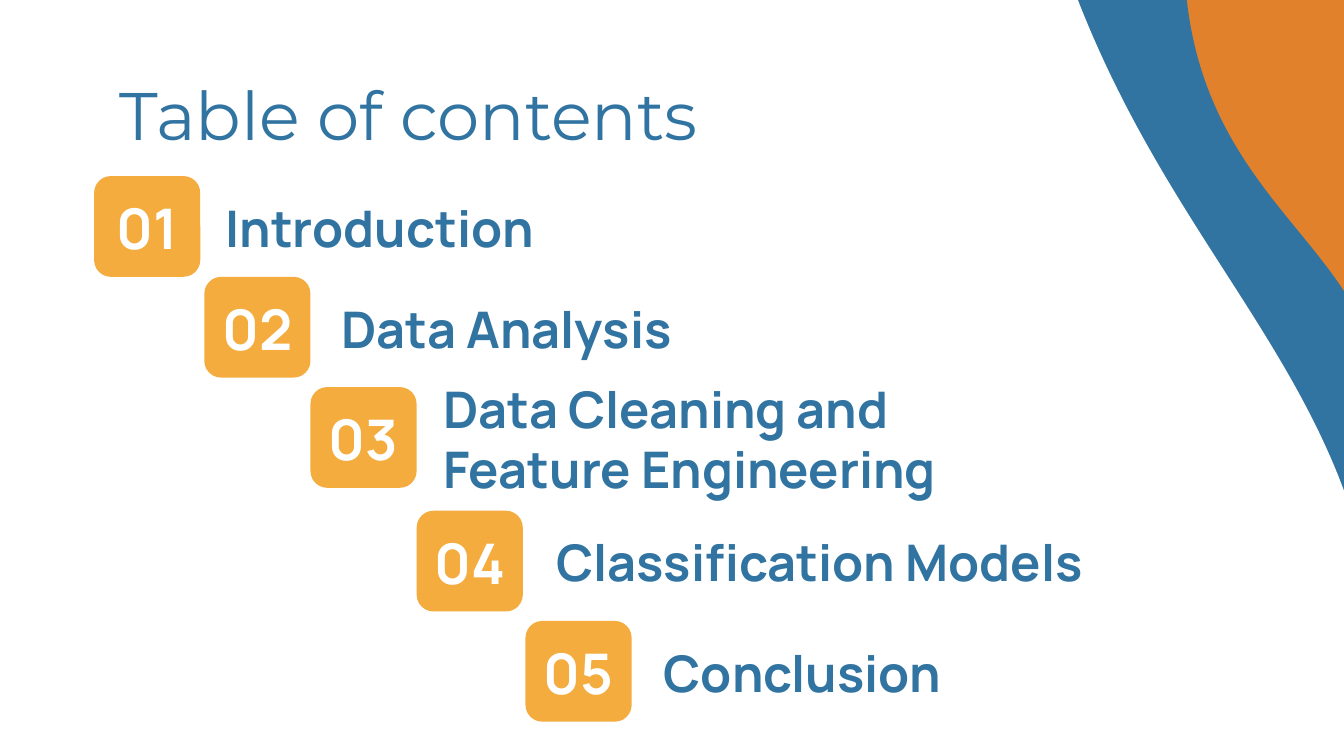
from dataclasses import dataclass

from pptx import Presentation
from pptx.dml.color import RGBColor
from pptx.enum.shapes import MSO_SHAPE
from pptx.enum.text import MSO_ANCHOR, MSO_AUTO_SIZE, PP_ALIGN
from pptx.util import Inches, Pt

COLORS = {"orange": "E1812B", "blue": "3174A1", "white": "FFFFFF", "amber": "F3AC3D"}
BADGE_WIDTH, BADGE_HEIGHT = 0.79, 0.75
NUMBER_WIDTH = 0.82
TEXT_HEIGHT, TEXT_OFFSET = 0.58, 0.09


@dataclass
class Wave:
    left: float
    top: float
    width: float
    height: float
    rotation: float
    color: str


@dataclass
class Entry:
    label: str
    left: float
    top: float
    label_left: float
    label_width: float


@dataclass
class TextStyle:
    font: str
    size: float
    color: str
    bold: bool = False
    align: PP_ALIGN = PP_ALIGN.LEFT


TITLE = TextStyle("Montserrat", 36, "blue")
LABEL = TextStyle("Manrope", 27, "blue", bold=True)
NUMBER = TextStyle("Manrope", 30, "white", bold=True, align=PP_ALIGN.CENTER)

WAVES = [
    Wave(4.66, -1.37, 4.36, 6.93, 267, "blue"),
    Wave(-0.56, -2.74, 10.13, 11.42, 264.8, "white"),
]
ENTRIES = [
    Entry("Introduction", 0.7, 1.31, 1.58, 2.94),
    Entry("Data Analysis", 1.52, 2.06, 2.44, 2.94),
    Entry("Data Cleaning and \vFeature Engineering", 2.31, 2.88, 3.2, 6.11),
    Entry("Classification Models", 3.1, 3.8, 4.04, 4.7),
    Entry("Conclusion", 3.91, 4.62, 4.84, 4.7),
]


def color(name: str) -> RGBColor:
    return RGBColor.from_string(COLORS[name])


def write_text(shape, text: str, style: TextStyle) -> None:
    frame = shape.text_frame
    frame_format = {
        "word_wrap": True,
        "auto_size": MSO_AUTO_SIZE.NONE,
        "vertical_anchor": MSO_ANCHOR.MIDDLE,
    }
    for side in ("left", "top", "right", "bottom"):
        frame_format[f"margin_{side}"] = Inches(0.1)
    for name, value in frame_format.items():
        setattr(frame, name, value)

    paragraph = frame.paragraphs[0]
    paragraph.text = text
    paragraph.alignment = style.align
    paragraph.line_spacing = 1.0
    font_format = {"name": style.font, "size": Pt(style.size), "bold": style.bold}
    for run in paragraph.runs:
        for name, value in font_format.items():
            setattr(run.font, name, value)
        run.font.color.rgb = color(style.color)


def add_text(slide, text: str, style: TextStyle, left: float, top: float,
             width: float) -> None:
    box = slide.shapes.add_textbox(
        Inches(left), Inches(top), Inches(width), Inches(TEXT_HEIGHT))
    write_text(box, text, style)


def add_filled_shape(slide, kind: MSO_SHAPE, left: float, top: float,
                     width: float, height: float, fill: str):
    shape = slide.shapes.add_shape(
        kind, Inches(left), Inches(top), Inches(width), Inches(height))
    shape.shadow.inherit = False
    shape.fill.solid()
    shape.fill.fore_color.rgb = color(fill)
    shape.line.fill.background()
    return shape


def add_wave(slide, wave: Wave) -> None:
    shape = add_filled_shape(slide, MSO_SHAPE.FLOWCHART_DOCUMENT, wave.left,
                             wave.top, wave.width, wave.height, wave.color)
    shape.rotation = wave.rotation


def add_entry(slide, number: int, entry: Entry) -> None:
    badge = add_filled_shape(slide, MSO_SHAPE.ROUNDED_RECTANGLE, entry.left,
                             entry.top, BADGE_WIDTH, BADGE_HEIGHT, "amber")
    badge.adjustments[0] = 0.167

    text_top = entry.top + TEXT_OFFSET
    number_left = entry.left - (NUMBER_WIDTH - BADGE_WIDTH) / 2
    add_text(slide, f"{number:02d}", NUMBER, number_left, text_top, NUMBER_WIDTH)
    add_text(slide, entry.label, LABEL, entry.label_left, text_top, entry.label_width)


def main() -> None:
    presentation = Presentation()
    presentation.slide_width = Inches(10)
    presentation.slide_height = presentation.slide_width * 9 // 16
    slide = presentation.slides.add_slide(presentation.slide_layouts[5])

    # Background and waves
    slide.background.fill.solid()
    slide.background.fill.fore_color.rgb = color("orange")
    for wave in WAVES:
        add_wave(slide, wave)

    # Title, raised above the waves
    title = slide.shapes.title
    place = {"left": 0.79, "top": 0.58, "width": 8.43, "height": 0.53}
    for name, value in place.items():
        setattr(title, name, Inches(value))
    write_text(title, "Table of contents", TITLE)
    slide.shapes.element.append(title.element)

    # Numbered contents
    for number, entry in enumerate(ENTRIES, start=1):
        add_entry(slide, number, entry)

    presentation.save("out.pptx")


if __name__ == "__main__":
    main()
